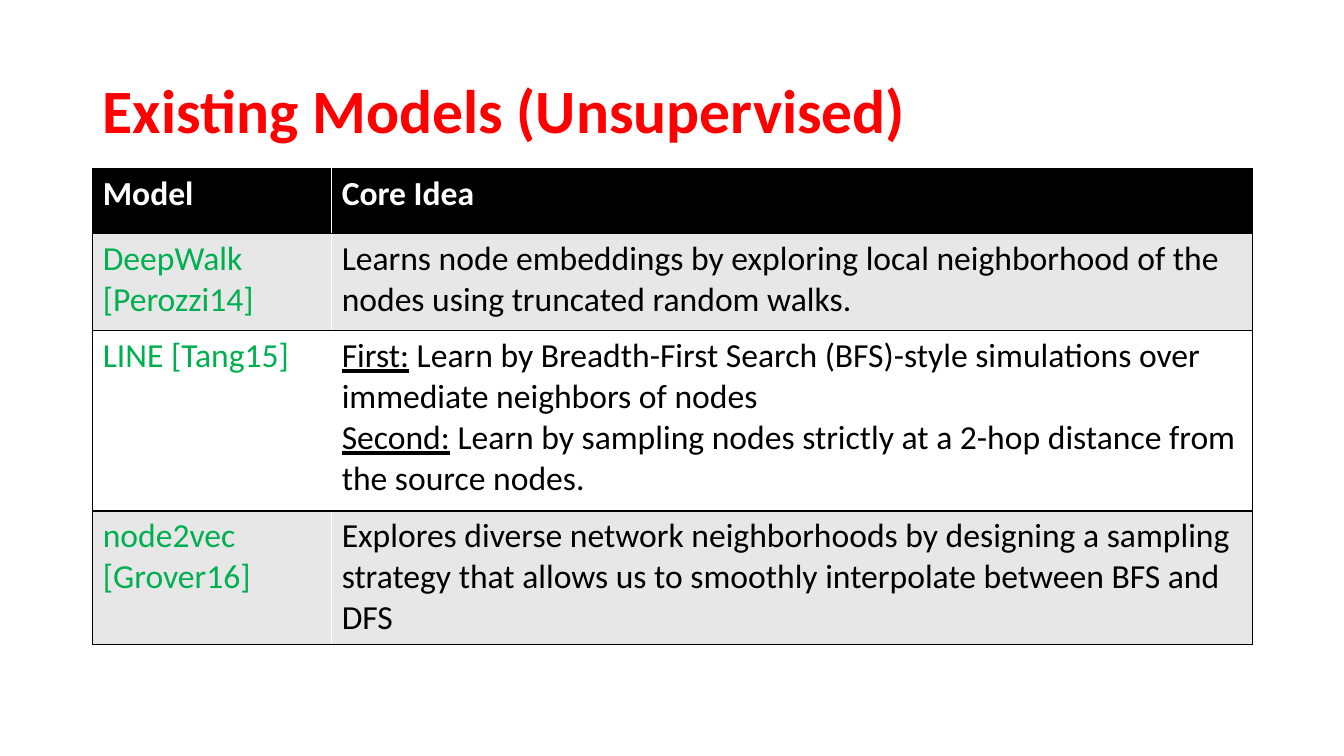
from lxml.etree import SubElement
from pptx import Presentation
from pptx.dml.color import RGBColor
from pptx.enum.text import MSO_ANCHOR, PP_ALIGN
from pptx.oxml.ns import qn
from pptx.util import Inches, Pt

RED = RGBColor(0xFF, 0x00, 0x00)
GREEN = RGBColor(0x00, 0xB0, 0x50)
BLACK = RGBColor(0x00, 0x00, 0x00)
WHITE = RGBColor(0xFF, 0xFF, 0xFF)
GREY = RGBColor(0xE7, 0xE7, 0xE7)

FONT = "Calibri"
LEFT, WIDTH = 0.92, 11.5
COL_WIDTHS = [2.37, 9.13]
ROW_HEIGHTS = [0.65, 0.96, 1.79, 1.31]

# Each core idea is a list of paragraphs: (underlined label, text)
ROWS = [
    ("Model", [("", "Core Idea")]),
    ("DeepWalk [Perozzi14]", [
        ("", "Learns node embeddings by exploring local neighborhood of the "
             "nodes using truncated random walks.")]),
    ("LINE [Tang15]", [
        ("First:", " Learn by Breadth-First Search (BFS)-style simulations over "
                   "immediate neighbors of nodes"),
        ("Second:", " Learn by sampling nodes strictly at a 2-hop distance from "
                    "the source nodes.")]),
    ("node2vec [Grover16]", [
        ("", "Explores diverse network neighborhoods by designing a sampling "
             "strategy that allows us to smoothly interpolate between BFS and DFS")]),
]


def style_run(r, size, color, bold):
    r.font.name = FONT
    r.font.size = Pt(size)
    r.font.bold = bold
    r.font.color.rgb = color


def add_borders(cell, sides):
    """Draw 1 pt black lines on the given sides, in L, R, T, B order."""
    tc_pr = cell._tc.get_or_add_tcPr()
    for i, side in enumerate(sides):
        ln = SubElement(tc_pr, qn(f"a:ln{side}"), w=str(Pt(1)))
        fill = SubElement(ln, qn("a:solidFill"))
        SubElement(fill, qn("a:srgbClr"), val=str(BLACK))
        tc_pr.insert(i, ln)


prs = Presentation()
prs.slide_width, prs.slide_height = Inches(13.33), Inches(7.5)
s = prs.slides.add_slide(prs.slide_layouts[5])

title = s.shapes.title
title.left, title.top = Inches(LEFT), Inches(0.4)
title.width, title.height = Inches(WIDTH), Inches(1.45)
tf = title.text_frame
tf.text = "Existing Models (Unsupervised)"
tf.vertical_anchor = MSO_ANCHOR.MIDDLE
p = tf.paragraphs[0]
p.alignment = PP_ALIGN.LEFT
p.line_spacing = 0.9
style_run(p.runs[0], 44, RED, True)

table = s.shapes.add_table(
    len(ROWS), len(COL_WIDTHS), Inches(LEFT), Inches(1.67),
    Inches(WIDTH), Inches(sum(ROW_HEIGHTS))).table
for col, width in zip(table.columns, COL_WIDTHS):
    col.width = Inches(width)
for row, height in zip(table.rows, ROW_HEIGHTS):
    row.height = Inches(height)

for i, (model, idea) in enumerate(ROWS):
    header = i == 0
    fill = BLACK if header else GREY if i % 2 else WHITE
    columns = [([("", model)], GREEN, "LTB"), (idea, BLACK, "RTB")]
    for j, (paragraphs, color, sides) in enumerate(columns):
        cell = table.cell(i, j)
        cell.fill.solid()
        cell.fill.fore_color.rgb = fill
        add_borders(cell, sides)
        tf = cell.text_frame
        for k, (label, text) in enumerate(paragraphs):
            p = tf.add_paragraph() if k else tf.paragraphs[0]
            for part in filter(None, (label, text)):
                r = p.add_run()
                r.text = part
                style_run(r, 24, WHITE if header else color, header)
                r.font.underline = part == label

prs.save("out.pptx")
